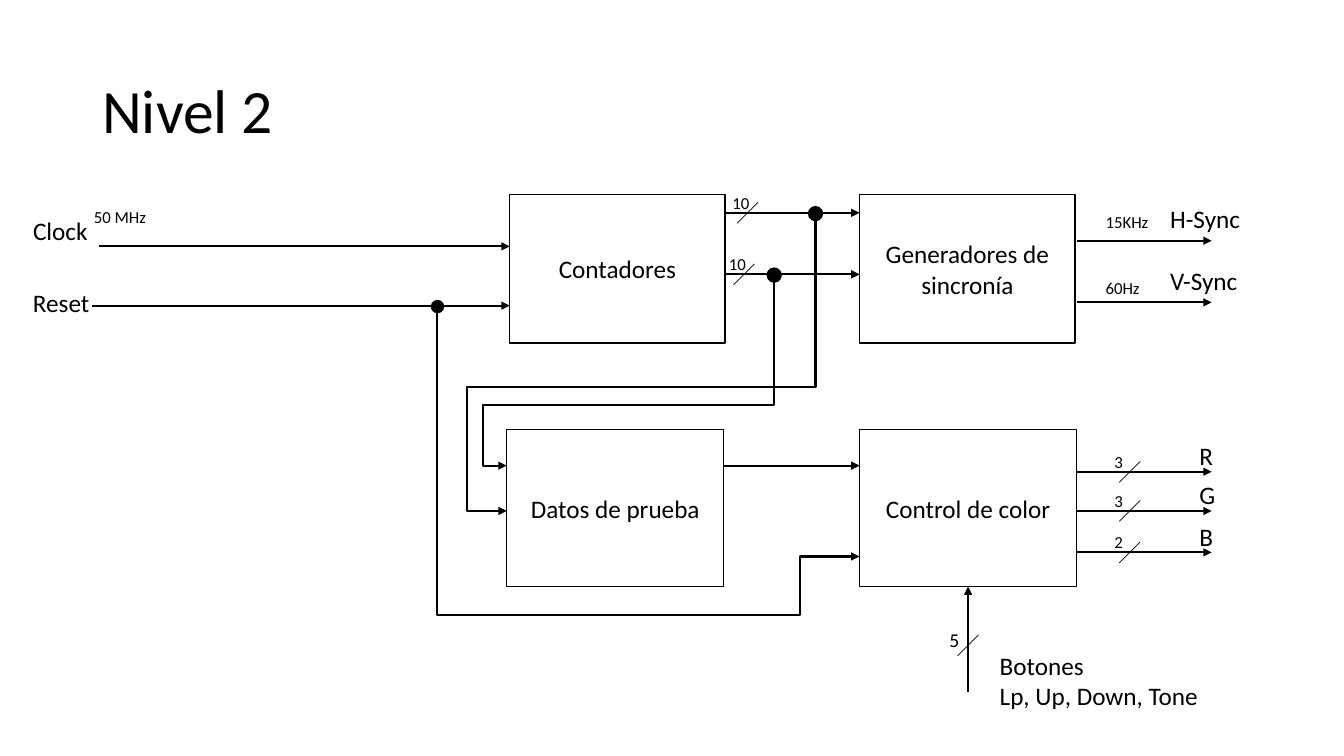
from pptx import Presentation
from pptx.dml.color import RGBColor
from pptx.enum.shapes import MSO_CONNECTOR as LINK, MSO_SHAPE as SHAPE
from pptx.enum.text import MSO_ANCHOR as ANCHOR, MSO_AUTO_SIZE as AUTO, PP_ALIGN as ALIGN
from pptx.oxml.ns import qn
from pptx.util import Pt
from lxml.etree import SubElement

BLACK, WHITE = "000000", "FFFFFF"


def paint(target, color):
    """Give a colour format its hex colour."""
    target.rgb = RGBColor.from_string(color)


def style_font(paragraph, size):
    """Set the font of a whole paragraph."""
    paragraph.font.name = "Calibri"
    paragraph.font.size = Pt(size)
    paint(paragraph.font.color, BLACK)


def stroke(item, width, arrow=False):
    """Draw an outline in black, with an arrowhead at its end if asked."""
    paint(item.line.color, BLACK)
    item.line.width = Pt(width)
    if arrow:
        outline = item.element.spPr.find(qn("a:ln"))
        SubElement(outline, qn("a:tailEnd"), type="triangle")


def add_title(slide, text):
    """Write the slide title."""
    title = slide.shapes.add_textbox(Pt(66), Pt(29), Pt(828), Pt(104))
    frame = title.text_frame
    frame.word_wrap = True
    frame.vertical_anchor = ANCHOR.MIDDLE
    frame.text = text
    frame.paragraphs[0].line_spacing = 0.9
    style_font(frame.paragraphs[0], 44)


def add_label(slide, text, left, top, width, size=18):
    """Write an unwrapped label of one or more lines."""
    lines = text.split("\n")
    height = 7.2 + 1.2 * size * len(lines)
    label = slide.shapes.add_textbox(Pt(left), Pt(top), Pt(width), Pt(height))
    frame = label.text_frame
    frame.word_wrap = False
    frame.auto_size = AUTO.SHAPE_TO_FIT_TEXT
    frame.text = text
    for paragraph in frame.paragraphs:
        style_font(paragraph, size)


def add_solid(slide, kind, color, left, top, width, height):
    """Add a filled shape with a thin black outline."""
    solid = slide.shapes.add_shape(kind, Pt(left), Pt(top), Pt(width), Pt(height))
    solid.shadow.inherit = False
    solid.fill.solid()
    paint(solid.fill.fore_color, color)
    stroke(solid, 1)
    return solid


def add_block(slide, text, left, top, width, height):
    """Add a named circuit block."""
    block = add_solid(slide, SHAPE.RECTANGLE, WHITE, left, top, width, height)
    frame = block.text_frame
    frame.word_wrap = True
    frame.vertical_anchor = ANCHOR.MIDDLE
    frame.text = text
    frame.paragraphs[0].alignment = ALIGN.CENTER
    style_font(frame.paragraphs[0], 18)
    return block


def add_junction(slide, x, y, diameter):
    """Mark a wire junction with a dot centred on a point."""
    radius = diameter / 2
    add_solid(slide, SHAPE.OVAL, BLACK, x - radius, y - radius, diameter, diameter)


def add_line(slide, x1, y1, x2, y2, width=1.5, arrow=True):
    """Add a straight wire."""
    line = slide.shapes.add_connector(LINK.STRAIGHT, Pt(x1), Pt(y1), Pt(x2), Pt(y2))
    stroke(line, width, arrow)
    SubElement(line.element.spPr, qn("a:effectLst"))
    return line


def add_route(slide, *corners):
    """Add an angled wire through the given corners."""
    start, *rest = [(Pt(x), Pt(y)) for x, y in corners]
    builder = slide.shapes.build_freeform(*start)
    builder.add_line_segments(rest, close=False)
    route = builder.convert_to_shape()
    route.shadow.inherit = False
    route.fill.background()
    stroke(route, 1.5, arrow=True)


def add_bus_mark(slide, bits, x, y, dx=18, dy=18, size=12):
    """Add a bus slash centred on a wire, with its number of bits."""
    add_line(slide, x + 7.5, y - 7.5, x - 7.5, y + 7.5, width=0.5, arrow=False)
    add_label(slide, bits, x - dx, y - dy, 14.4 + size * len(bits) / 2, size)


def main():
    """Build the second-level block diagram."""
    deck = Presentation()
    deck.slide_width, deck.slide_height = Pt(960), Pt(540)
    slide = deck.slides.add_slide(deck.slide_layouts[6])

    add_title(slide, "Nivel 2")
    add_block(slide, "Contadores", 364, 139, 154, 106)
    add_block(slide, "Generadores de sincronía", 614, 139, 154, 106)
    add_block(slide, "Datos de prueba", 362, 307, 155, 112)
    color_control = add_block(slide, "Control de color", 614, 307, 155, 112)

    add_label(slide, "Clock", 16.5, 150.5, 54)
    add_label(slide, "50 MHz", 60, 144, 52.5, 12)
    add_line(slide, 71, 176, 364, 176)
    add_label(slide, "Reset", 16.5, 201.6, 55.5)
    add_line(slide, 65.5, 218.3, 364, 218.3)

    for count_x, count_y in ((534, 152), (531.5, 196)):
        add_line(slide, 518, count_y, 614, count_y)
        add_bus_mark(slide, "10", count_x, count_y)

    for signal, rate, rate_top, sync_y, rate_width in (
        ("H-Sync", "15KHz", 147.6, 172, 45.5),
        ("V-Sync", "60Hz", 195, 216, 39.5),
    ):
        add_line(slide, 769, sync_y, 865.5, sync_y)
        add_label(slide, signal, 828.7, sync_y - 30, 65)
        add_label(slide, rate, 782.6, rate_top, rate_width, 12)

    for channel, bits, color_y in (("R", "3", 337), ("G", "3", 365), ("B", "2", 394.6)):
        add_line(slide, 769, color_y, 865.5, color_y)
        add_bus_mark(slide, bits, 807, color_y)
        add_label(slide, channel, 849.6, color_y - 26, 25)

    add_line(slide, 517, 332.6, 614, 332.6)
    buttons_wire = add_line(slide, 691.5, 494, 691.5, 419)
    buttons_wire.end_connect(color_control, 2)
    add_bus_mark(slide, "5", 691.5, 461, dx=20.5, dy=16, size=14)
    add_label(slide, "Botones\nLp, Up, Down, Tone", 707, 461, 157.7)

    add_route(slide, (553, 196), (553, 289.5), (345, 289.5), (345, 332.6), (362, 332.6))
    add_route(slide, (582.5, 152), (582.5, 276.5), (333.4, 276.5), (333.4, 365), (362, 365))
    add_route(slide, (312.5, 219), (312.5, 439), (571.7, 439), (571.7, 397.5), (614, 397.5))
    add_junction(slide, 582.5, 152.6, 10)
    add_junction(slide, 553, 196.5, 10)
    add_junction(slide, 312.5, 219, 8.6)

    deck.save("out.pptx")


if __name__ == "__main__":
    main()
